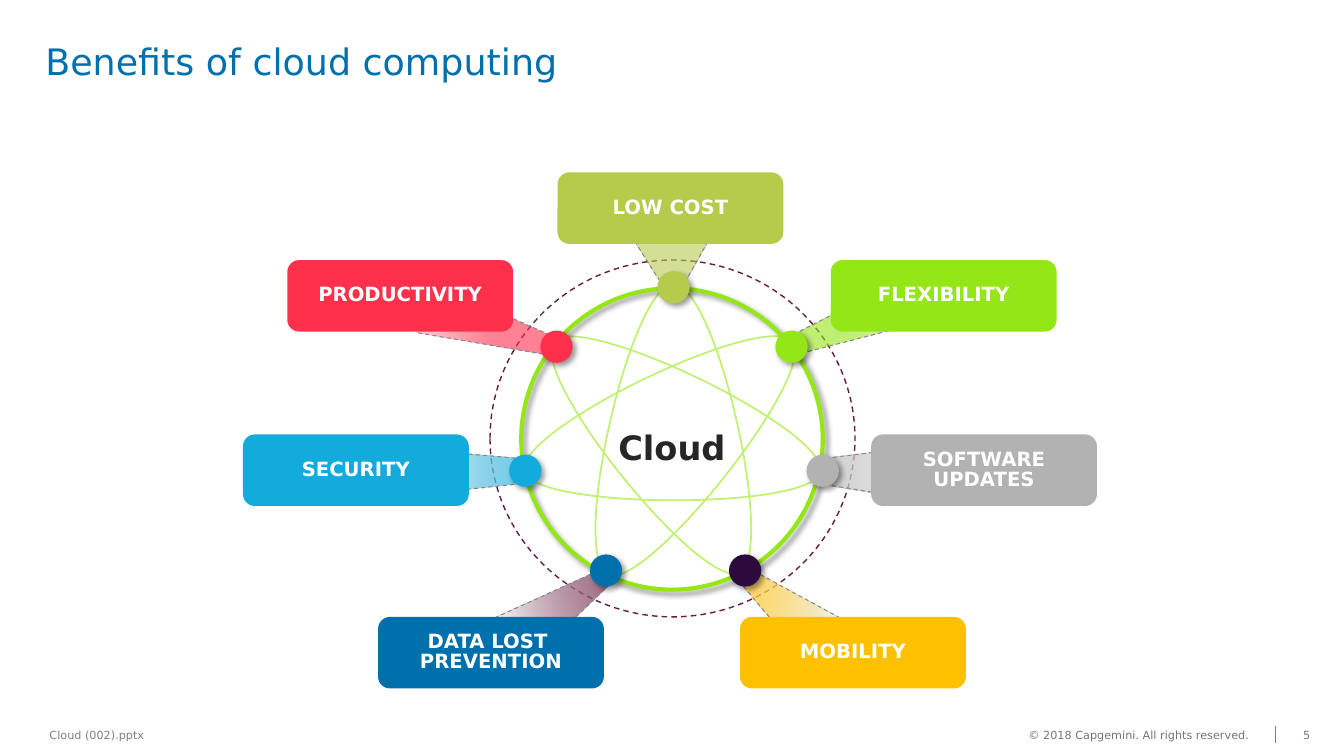
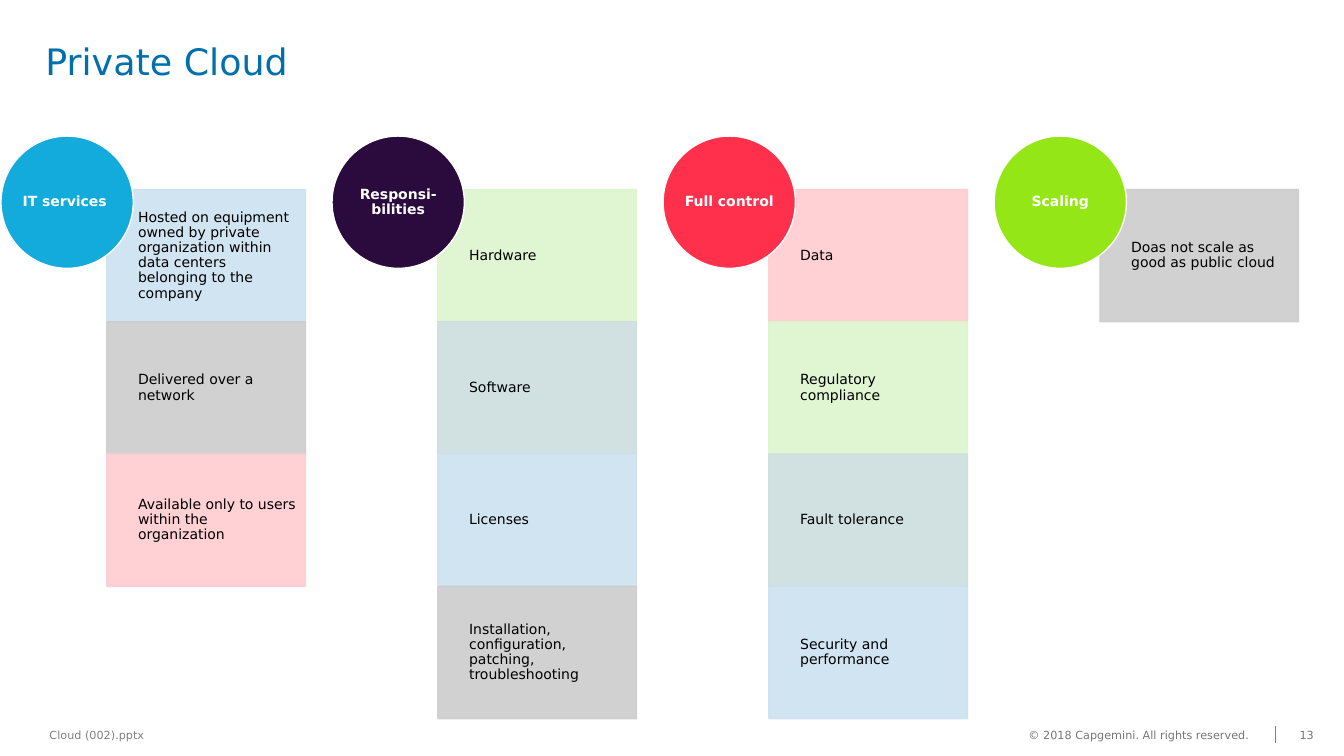
"""Build two slides about cloud computing: a wheel of benefits and a column overview."""
from pptx import Presentation
from pptx.dml.color import RGBColor
from pptx.enum.dml import MSO_LINE
from pptx.enum.shapes import MSO_CONNECTOR, MSO_SHAPE
from pptx.enum.text import MSO_ANCHOR, PP_ALIGN
from pptx.oxml.ns import qn
from pptx.oxml.xmlchemy import OxmlElement
from pptx.util import Inches, Pt

DASH = MSO_LINE.DASH
STRAIGHT = MSO_CONNECTOR.STRAIGHT
OVAL, BLOCK, ROUNDED = MSO_SHAPE.OVAL, MSO_SHAPE.RECTANGLE, MSO_SHAPE.ROUNDED_RECTANGLE
TOP, MIDDLE = MSO_ANCHOR.TOP, MSO_ANCHOR.MIDDLE
LEFT, CENTER = PP_ALIGN.LEFT, PP_ALIGN.CENTER

FONT = "DejaVu Sans"
SLIDE_SIZE = (13.33, 7.5)
TITLE_BOX = (0.45, 0.44, 12.05, 0.94)
FOOTER_TOP, FOOTER_HEIGHT = 7.17, 0.24
BLUE, SKY, RED, LIME = "0070AD", "12ABDB", "FF304C", "95E616"
OLIVE, SILVER, AMBER, PURPLE = "B6CB4C", "B2B2B2", "FFC000", "2B0A3D"
PLUM, GREY, WHITE, BLACK = "6A1A41", "808080", "FFFFFF", "000000"
FADE, BEAM_EDGE, STAR_LINE = "F2F2F2", "85888B", "C0F172"
ICE, ASH, ROSE, MINT, MIST = "CCE2F1", "CDCCCE", "FFCDD0", "DDF5CC", "CCDEDE"

LABEL_SIZE = (2.24, 0.71)
NODE_SIZE = 0.32
HALO_BOX = (4.86, 2.58, 3.62, 3.54)
RING_BOX = (5.17, 2.86, 2.99, 2.99)
HUB_BOX = (5.23, 4.19, 2.87, 0.5)
BENEFITS = [
    {"label": "PRODUCTIVITY", "color": RED, "label_at": (2.85, 2.58), "node_at": (5.36, 3.28),
     "beam": [(3.91, 2.65), (3.98, 2.67), (5.56, 3.37), (5.49, 3.53), (4.13, 3.3)],
     "angle": 180, "stops": [(43, RED, 60), (100, "FFD6DB", 62)]},
    {"label": "SECURITY", "color": SKY, "label_at": (2.41, 4.31), "node_at": (5.05, 4.51),
     "beam": [(3.79, 4.43), (5.17, 4.55), (5.25, 4.79), (3.83, 4.94)],
     "angle": 180, "stops": [(0, SKY, 60), (80, FADE, 100)]},
    {"label": "DATA LOST \nPREVENTION", "color": BLUE, "label_at": (3.75, 6.12),
     "node_at": (5.85, 5.5),
     "beam": [(4.84, 6.16), (5.96, 5.65), (6.12, 5.73), (5, 6.8)],
     "angle": 195, "stops": [(0, PLUM, 65), (80, FADE, 100)]},
    {"label": "MOBILITY", "color": AMBER, "label_at": (7.34, 6.12), "node_at": (7.23, 5.5),
     "node_color": PURPLE,
     "beam": [(8.46, 6.2), (7.45, 5.65), (7.3, 5.73), (8.16, 6.75)],
     "angle": 345, "stops": [(0, AMBER, 64), (80, FADE, 100)]},
    {"label": "SOFTWARE\nUPDATES", "color": SILVER, "label_at": (8.64, 4.31),
     "node_at": (8, 4.51),
     "beam": [(9.37, 4.4), (8.16, 4.55), (8.08, 4.79), (9.25, 4.98)],
     "angle": 0, "stops": [(0, SILVER, 60), (80, FADE, 100)]},
    {"label": "FLEXIBILITY", "color": LIME, "label_at": (8.24, 2.58), "node_at": (7.69, 3.28),
     "beam": [(9.32, 2.63), (9.24, 2.62), (7.77, 3.37), (7.85, 3.53), (9.13, 3.2)],
     "angle": 15, "stops": [(35, LIME, 60), (80, FADE, 100)]},
    {"label": "LOW COST", "color": OLIVE, "label_at": (5.53, 1.71), "node_at": (6.52, 2.69),
     "beam": [(6.14, 2.15), (6.59, 2.86), (6.76, 2.86), (7.16, 2.15)],
     "angle": 90, "stops": [(24, OLIVE, 58), (80, OLIVE, 58)]},
]
STAR_START = (6.68, 2.82)
STAR_CURVES = [
    ((6.26, 2.82), (5.64, 5.5), (6.03, 5.7)),
    ((6.4, 5.88), (8.12, 3.72), (7.86, 3.39)),
    ((7.6, 3.07), (5.13, 4.25), (5.2, 4.67)),
    ((5.27, 5.06), (8.08, 5.06), (8.14, 4.68)),
    ((8.2, 4.25), (5.75, 3.08), (5.5, 3.39)),
    ((5.23, 3.73), (6.96, 5.86), (7.33, 5.68)),
    ((7.71, 5.51), (7.11, 2.82), (6.68, 2.82)),
]

COLUMNS = [
    ("IT services ", SKY, [
        ("Hosted on equipment owned by private organization within data centers "
         "belonging to the company", ICE),
        ("Delivered over a network", ASH),
        ("Available only to users within the organization", ROSE)]),
    ("Responsi-bilities", PURPLE, [
        ("Hardware", MINT), ("Software", MIST), ("Licenses", ICE),
        ("Installation, configuration, patching, troubleshooting", ASH)]),
    ("Full control", RED, [
        ("Data", ROSE), ("Regulatory compliance", MINT), ("Fault tolerance", MIST),
        ("Security and performance", ICE)]),
    ("Scaling", LIME, [("Doas not scale as good as public cloud", ASH)]),
]
FIRST_LEFT, LAST_LEFT = 0.01, 9.86
COLUMN_PITCH = (LAST_LEFT - FIRST_LEFT) / (len(COLUMNS) - 1)
CIRCLE_TOP, CELL_TOP, CELL_BOTTOM = 1.35, 1.88, 7.13
UNIT = (CELL_BOTTOM - CELL_TOP) / 4
CELL_OFFSET, CELL_WIDTH = 1.05, 1.97


def rgb(value):
    return RGBColor.from_string(value)


def inches(values):
    return [Inches(value) for value in values]


def set_alpha(element, percent):
    """Give every colour below the element the same opacity."""
    for color in element.iter(qn("a:srgbClr")):
        alpha = OxmlElement("a:alpha")
        alpha.set("val", str(percent * 1000))
        color.append(alpha)


def add_shadow(shape):
    effects, shadow = OxmlElement("a:effectLst"), OxmlElement("a:outerShdw")
    values = {"blurRad": Pt(4), "dist": Pt(3), "dir": 45 * 60000, "algn": "tl", "rotWithShape": 0}
    for name, value in values.items():
        shadow.set(name, str(value))
    color = OxmlElement("a:srgbClr")
    color.set("val", BLACK)
    shadow.append(color)
    set_alpha(shadow, 40)
    effects.append(shadow)
    properties = shape._element.spPr
    for old in properties.findall(qn("a:effectLst")):
        properties.remove(old)
    properties.append(effects)


def style(shape, fill=None, line=None, width=1, dash=None):
    shape.shadow.inherit = False
    if fill:
        shape.fill.solid()
        shape.fill.fore_color.rgb = rgb(fill)
    else:
        shape.fill.background()
    if line:
        shape.line.color.rgb = rgb(line)
        shape.line.width = Pt(width)
        shape.line.dash_style = dash
    else:
        shape.line.fill.background()
    return shape


def add_shape(slide, kind, box, **look):
    return style(slide.shapes.add_shape(kind, *inches(box)), **look)


def write(shape, text, size, color, bold=False, align=LEFT, anchor=MIDDLE,
          spacing=None, insets=(0, 0, 0, 0)):
    """Fill a shape with formatted paragraphs, one per line of text."""
    frame = shape.text_frame
    frame.text = text
    frame.word_wrap = True
    frame.vertical_anchor = anchor
    for side, inset in zip(("left", "top", "right", "bottom"), insets):
        setattr(frame, f"margin_{side}", Inches(inset))
    font_values = {"name": FONT, "size": Pt(size), "bold": bold}
    for para in frame.paragraphs:
        para.alignment = align
        para.line_spacing = spacing
        for span in para.runs:
            for name, value in font_values.items():
                setattr(span.font, name, value)
            span.font.color.rgb = rgb(color)


def add_text(slide, box, text, size, color, **look):
    write(slide.shapes.add_textbox(*inches(box)), text, size, color, **look)


def add_page(deck, layout, title, number):
    """Add a slide with its title and the shared footer."""
    slide = deck.slides.add_slide(layout)
    write(slide.shapes.title, title, 26, BLUE, anchor=TOP, spacing=0.9)
    rule = slide.shapes.add_connector(STRAIGHT, *inches((12.65, 7.37, 12.65, 7.2)))
    rule.line.color.rgb = rgb(GREY)
    rule.line.width = Pt(1)
    rule._element.spPr.append(OxmlElement("a:effectLst"))
    footers = [
        (0.45, 3.35, "Cloud (002).pptx", GREY, {"insets": (0.04,) * 4}),
        (10.2, 2.43, "© 2018 Capgemini. All rights reserved.", "767676", {}),
        (12.81, 0.3, str(number), "767676", {"align": CENTER}),
    ]
    for left, width, text, color, look in footers:
        add_text(slide, (left, FOOTER_TOP, width, FOOTER_HEIGHT), text, 8, color, **look)
    return slide


def add_outline(slide, points, close):
    corners = [inches(point) for point in points]
    builder = slide.shapes.build_freeform(*corners[0])
    builder.add_line_segments(corners[1:], close=close)
    return builder.convert_to_shape()


def add_curves(slide, start, curves):
    """Add a closed outline whose segments are cubic curves."""
    points = [start] + [point for curve in curves for point in curve]
    shape = add_outline(slide, points, True)
    lines = list(shape._element.iter(qn("a:lnTo")))
    for first in range(0, len(lines), 3):
        segment = OxmlElement("a:cubicBezTo")
        lines[first].addprevious(segment)
        for line in lines[first:first + 3]:
            segment.append(line[0])
            line.getparent().remove(line)
    return shape


def add_beam(slide, benefit):
    beam = add_outline(slide, benefit["beam"], False)
    style(beam, line=BEAM_EDGE, width=0.75, dash=DASH)
    beam.fill.gradient()
    beam.fill.gradient_angle = benefit["angle"]
    gradient = beam._element.spPr.find(qn("a:gradFill"))
    elements = gradient.iter(qn("a:gs"))
    for stop, element, (position, color, alpha) in zip(
            beam.fill.gradient_stops, elements, benefit["stops"]):
        stop.color.rgb = rgb(color)
        stop.position = position / 100
        set_alpha(element, alpha)


def build_wheel(slide):
    add_shape(slide, OVAL, HALO_BOX, fill=WHITE, line=PLUM, dash=DASH)
    style(add_curves(slide, STAR_START, STAR_CURVES), line=STAR_LINE, width=1.25)
    for benefit in BENEFITS:
        add_beam(slide, benefit)
    for benefit in BENEFITS:
        label = add_shape(slide, ROUNDED, benefit["label_at"] + LABEL_SIZE, fill=benefit["color"])
        write(label, benefit["label"], 14, WHITE, bold=True, align=CENTER, spacing=0.85,
              insets=(0.08, 0.05, 0.08, 0.05))
    add_text(slide, HUB_BOX, "Cloud", 24, "262626", bold=True, align=CENTER)
    add_shadow(add_shape(slide, OVAL, RING_BOX, line=LIME, width=3))
    for benefit in BENEFITS:
        color = benefit.get("node_color", benefit["color"])
        add_shadow(add_shape(slide, OVAL, benefit["node_at"] + (NODE_SIZE,) * 2, fill=color))


def build_columns(slide):
    for index, (heading, color, cells) in enumerate(COLUMNS):
        left = FIRST_LEFT + index * COLUMN_PITCH
        for row, (text, tint) in enumerate(cells):
            box = (left + CELL_OFFSET, CELL_TOP + row * UNIT, CELL_WIDTH, UNIT)
            cell = add_shape(slide, BLOCK, box, fill=tint, line=tint)
            set_alpha(cell._element.spPr, 90)
            write(cell, text, 10, BLACK, spacing=0.9, insets=(0.31, 0.08, 0.08, 0.08))
        circle = add_shape(slide, OVAL, (left, CIRCLE_TOP, UNIT, UNIT), fill=color, line=WHITE)
        write(circle, heading, 10, WHITE, bold=True, align=CENTER, spacing=0.9)


def main():
    deck = Presentation()
    deck.slide_width, deck.slide_height = inches(SLIDE_SIZE)
    layout = deck.slide_layouts[5]
    title = layout.placeholders[0]
    for name, value in zip(("left", "top", "width", "height"), inches(TITLE_BOX)):
        setattr(title, name, value)
    build_wheel(add_page(deck, layout, "Benefits of cloud computing", 5))
    build_columns(add_page(deck, layout, "Private Cloud", 13))
    deck.save("out.pptx")


if __name__ == "__main__":
    main()
